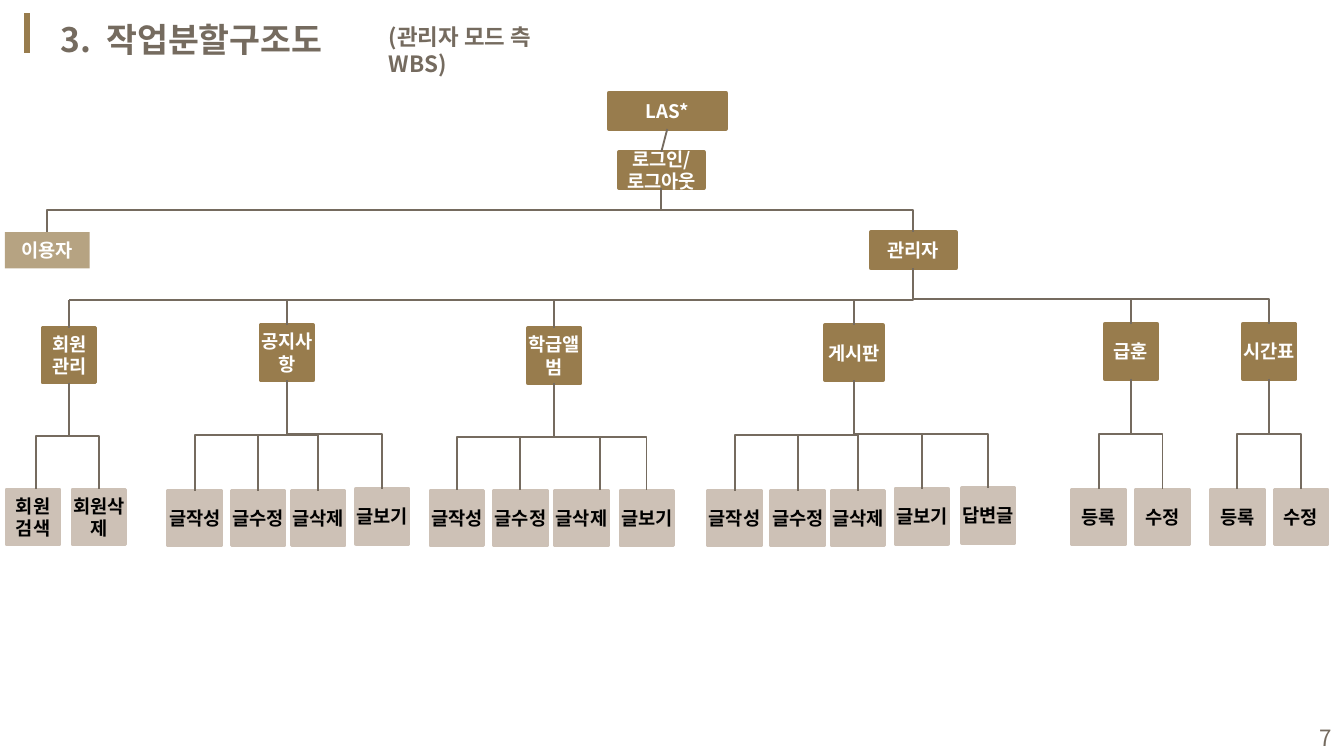
"""Builds the administrator-side work breakdown structure slide."""
from lxml import etree
from pptx import Presentation
from pptx.dml.color import RGBColor
from pptx.enum.shapes import MSO_CONNECTOR, MSO_SHAPE
from pptx.enum.text import MSO_ANCHOR, PP_ALIGN
from pptx.oxml.ns import qn
from pptx.util import Pt

STRAIGHT, ELBOW = MSO_CONNECTOR.STRAIGHT, MSO_CONNECTOR.ELBOW
RECT = MSO_SHAPE.RECTANGLE
TOP, MIDDLE = MSO_ANCHOR.TOP, MSO_ANCHOR.MIDDLE
LEFT, CENTER, RIGHT = PP_ALIGN.LEFT, PP_ALIGN.CENTER, PP_ALIGN.RIGHT
GOLD = RGBColor(0x98, 0x7C, 0x4D)
TAUPE = RGBColor(0x75, 0x6B, 0x5F)
BEIGE = RGBColor(0xCD, 0xC1, 0xB6)
WHITE = RGBColor(0xFF, 0xFF, 0xFF)
BLACK = RGBColor(0, 0, 0)
FONT = "Noto Sans CJK KR"
BUS_Y = 160.8
SIDE, HEIGHT = 28.2, 29.5

# text, left, top, width, then leaves as text, left, top, connector x
BRANCHES = [
    ("회원\n관리", 23, 175.5, SIDE, [
        ("회원\n검색", 3.6, 262.2, 19.3), ("회원삭제", 39, 262.2, 53.2)]),
    ("공지사항", 139.6, 174.2, SIDE, [
        ("글작성", 90.2, 262.8, 104.4), ("글수정", 124, 262.8, 138.1),
        ("글삭제", 156.2, 262.8, 170.6), ("글보기", 190.6, 261.8, 204.6)]),
    ("학급앨범", 282.8, 175.8, SIDE, [
        ("글작성", 230.8, 262.8, 245), ("글수정", 264.7, 262.8, 278.8),
        ("글삭제", 297.4, 262.8, 321.6), ("글보기", 332.6, 262.8, 346.3)]),
    ("게시판", 442, 174.2, 31, [
        ("글작성", 379.4, 262.8, 393.8), ("글수정", 413.2, 262.8, 427.5),
        ("글삭제", 445.7, 262.8, 459.8), ("글보기", 479.7, 261.8, 493.9),
        ("답변글", 515.3, 261.4, 529.2)]),
    ("급훈", 591.8, 173.5, SIDE, [
        ("등록", 574.4, 262.2, 588.7), ("수정", 608.6, 262.2, 622.8)]),
    ("시간표", 665.8, 173.5, SIDE, [
        ("등록", 648.8, 262.2, 662.9), ("수정", 682.8, 262.2, 697)]),
]


def write(tf, text, size, color, bold=True, align=LEFT, anchor=TOP):
    tf.word_wrap = True
    tf.vertical_anchor = anchor
    for i, line in enumerate(text.split("\n")):
        p = tf.add_paragraph() if i else tf.paragraphs[0]
        p.alignment = align
        r = p.add_run()
        r.text = line
        r.font.size, r.font.bold, r.font.name = Pt(size), bold, FONT
        r.font.color.rgb = color
        etree.SubElement(r._r.get_or_add_rPr(), qn("a:ea")).set("typeface", FONT)


def elbow(x1, y1, x2, y2, bend=50, preset="bentConnector3"):
    w, h = y2 - y1, abs(x2 - x1)
    left, top = (x1 + x2 - w) / 2, (y1 + y2 - h) / 2
    cxn = s.shapes.add_connector(ELBOW, Pt(left), Pt(top), Pt(left + w), Pt(top + h))
    xfrm = cxn._element.spPr.find(qn("a:xfrm"))
    xfrm.set("rot", str((90 if x2 < x1 else 270) * 60000))
    if x2 >= x1:
        xfrm.set("flipH", "1")
    geom = cxn._element.spPr.find(qn("a:prstGeom"))
    geom.set("prst", preset)
    if bend != 50:
        gd = etree.SubElement(geom.find(qn("a:avLst")), qn("a:gd"))
        gd.set("name", "adj1")
        gd.set("fmla", f"val {bend * 1000}")
    links.append(cxn)


prs = Presentation()
prs.slide_width, prs.slide_height = Pt(720), Pt(405)
s = prs.slides.add_slide(prs.slide_layouts[6])
links = []

for text, x, y, w, h, size, bold, align, anchor in [
    ("7", 553, 384.5, 167.8, 21.6, 12, False, RIGHT, MIDDLE),
    ("3.  작업분할구조도", 25.2, 6.5, 231, 28.8, 18, True, LEFT, TOP),
    ("(관리자 모드 측 WBS)", 201.2, 9, 110, 21.6, 12, True, LEFT, TOP),
]:
    sp = s.shapes.add_textbox(Pt(x), Pt(y), Pt(w), Pt(h))
    write(sp.text_frame, text, size, TAUPE, bold, align, anchor)

boxes = [
    ("LAS*", 326.2, 49.7, 62.6, 19.4, GOLD, WHITE),
    ("로그인/\n로그아웃", 331.6, 81.4, 45.4, 19.4, GOLD, WHITE),
    ("관리자", 466.6, 124.4, 45.4, 19.4, GOLD, WHITE),
    ("이용자", 2.7, 124.4, 45.4, 19.4, GOLD, WHITE),
]
boxes += [(text, x, y, w, HEIGHT, GOLD, WHITE) for text, x, y, w, leaves in BRANCHES]
boxes += [(text, x, y, SIDE, HEIGHT, BEIGE, BLACK)
          for branch in BRANCHES for text, x, y, drop in branch[4]]
shapes = []
for text, x, y, w, h, fill, ink in boxes:
    sp = s.shapes.add_shape(RECT, Pt(x), Pt(y), Pt(w), Pt(h))
    sp.shadow.inherit = False
    sp.fill.solid()
    sp.fill.fore_color.rgb = fill
    sp.line.color.rgb = fill
    sp.line.width = Pt(2)
    tf = sp.text_frame
    tf.margin_left = tf.margin_right = tf.margin_top = tf.margin_bottom = 0
    write(tf, text, 10, ink, align=CENTER, anchor=MIDDLE)
    shapes.append(sp)

root, login, admin, user = shapes[:4]
user.line.fill.background()
clr = user._element.spPr.find(qn("a:solidFill"))[0]
etree.SubElement(clr, qn("a:alpha")).set("val", "70000")

cxn = s.shapes.add_connector(STRAIGHT, 0, 0, 0, 0)
cxn.begin_connect(root, 2)
cxn.end_connect(login, 0)
links.append(cxn)
elbow(354.3, 100.8, 25.4, 124.4)
elbow(354.3, 100.8, 489.3, 124.4)
elbow(489.3, 143.8, 37.1, BUS_Y, preset="bentConnector2")

for (text, x, y, w, leaves), sp in zip(BRANCHES, shapes[4:]):
    mid = x + w / 2
    if mid < 489.3:
        cxn = s.shapes.add_connector(STRAIGHT, Pt(mid), Pt(y), Pt(mid), Pt(BUS_Y))
        cxn.begin_connect(sp, 0)
        links.append(cxn)
    else:
        elbow(489.3, 143.8, mid, y, bend=56)
    for leaf, left, top, drop in leaves:
        elbow(mid, y + HEIGHT, drop, top)

accent = s.shapes.add_connector(STRAIGHT, Pt(14.4), Pt(7.2), Pt(14.4), Pt(28.4))
for cxn, color, width in [(c, TAUPE, 1) for c in links] + [(accent, GOLD, 3)]:
    cxn.line.color.rgb = color
    cxn.line.width = Pt(width)
    etree.SubElement(cxn._element.spPr, qn("a:effectLst"))

prs.save("out.pptx")
